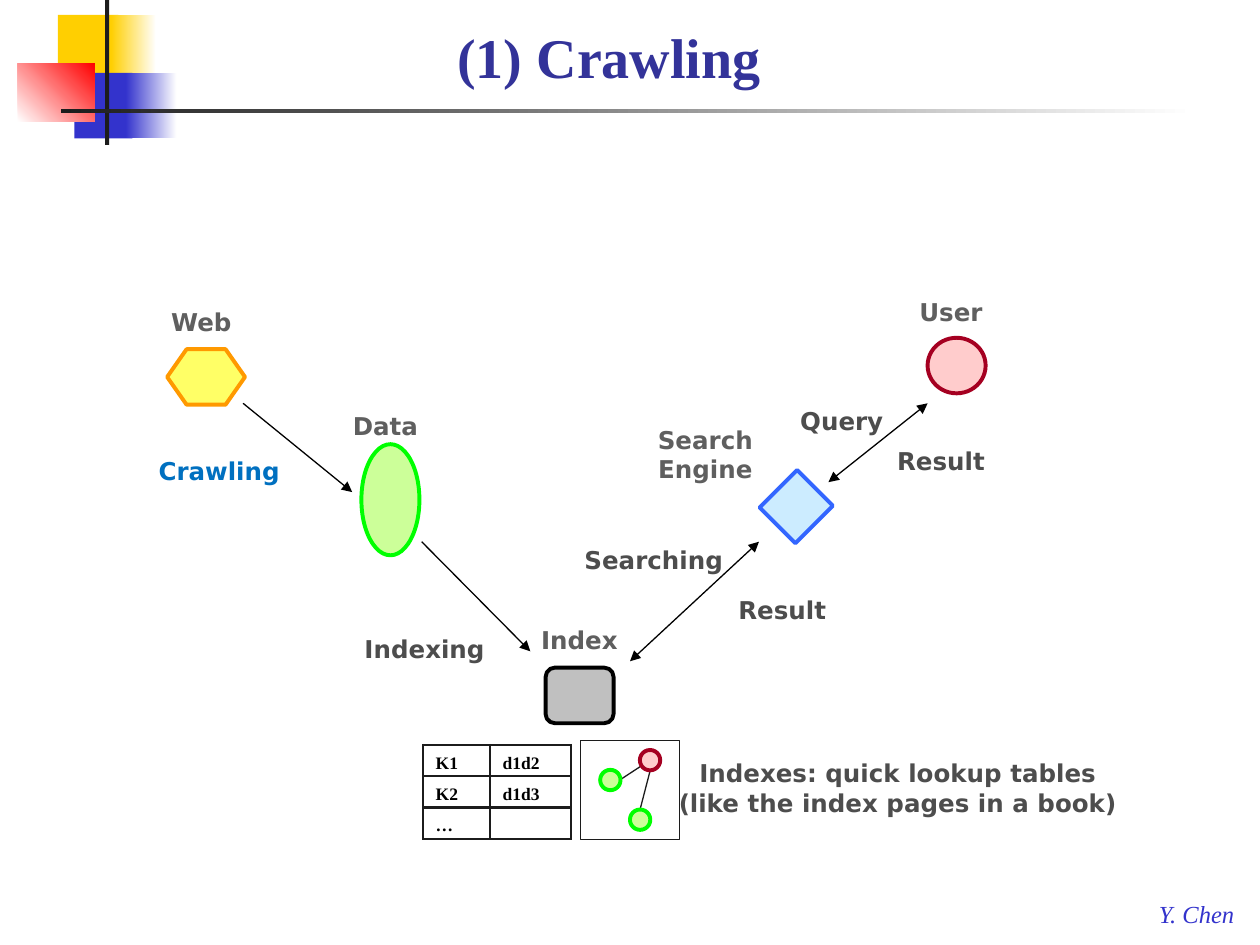
from typing import NamedTuple, Optional

import pptx
import pptx.dml.color
import pptx.enum.dml
import pptx.enum.shapes
import pptx.enum.text
import pptx.oxml.ns
import pptx.util
from lxml import etree

Cm = pptx.util.Cm
Pt = pptx.util.Pt
RGBColor = pptx.dml.color.RGBColor
Kind = pptx.enum.shapes.MSO_SHAPE
Align = pptx.enum.text.PP_ALIGN
Anchor = pptx.enum.text.MSO_ANCHOR
qn = pptx.oxml.ns.qn

WHITE = RGBColor(0xFF, 0xFF, 0xFF)
BLACK = RGBColor(0, 0, 0)
INK = RGBColor(0x1C, 0x1C, 0x1C)
GOLD = RGBColor(0xFF, 0xCF, 0x01)
BLUE = RGBColor(0x33, 0x33, 0xCC)
RED = RGBColor(0xFF, 0, 0)
TITLE_BLUE = RGBColor(0x33, 0x33, 0x99)
ACCENT_BLUE = RGBColor(0x00, 0x70, 0xC0)
NODE_GREY = RGBColor(0x5F, 0x5F, 0x5F)
STEP_GREY = RGBColor(0x4D, 0x4D, 0x4D)
LIGHT_GREEN = RGBColor(0xCC, 0xFF, 0x99)
GREEN = RGBColor(0, 0xFF, 0)
PINK = RGBColor(0xFF, 0xCC, 0xCC)
CRIMSON = RGBColor(0xA5, 0x00, 0x21)
SILVER = RGBColor(0xC0, 0xC0, 0xC0)
PALE_BLUE = RGBColor(0xCC, 0xEC, 0xFF)
SKY = RGBColor(0x33, 0x66, 0xFF)
YELLOW = RGBColor(0xFF, 0xFF, 0x66)
ORANGE = RGBColor(0xFF, 0x99, 0x00)

SERIF = "Times New Roman"
SANS = "DejaVu Sans"


class Ornament(NamedTuple):
    left: float
    top: float
    width: float
    height: float
    start: RGBColor
    end: Optional[RGBColor] = None
    angle: float = 0


class Node(NamedTuple):
    kind: Kind
    left: float
    top: float
    width: float
    height: float
    fill: RGBColor
    line: RGBColor
    rotation: float = 0
    adjustment: Optional[float] = None
    line_width: float = 2.25


class Label(NamedTuple):
    text: str
    left: float
    top: float
    color: RGBColor = STEP_GREY
    width: float = 2.54


class Link(NamedTuple):
    start: tuple[float, float]
    end: tuple[float, float]
    color: RGBColor = BLACK
    heads: tuple[str, ...] = ()


ONE_WAY = ("tailEnd",)
BOTH_WAYS = ("headEnd", "tailEnd")

ORNAMENTS = [
    Ornament(1.17, 0.3, 1.22, 1.32, GOLD),
    Ornament(2.24, 0.3, 0.91, 1.32, GOLD, WHITE),
    Ornament(1.5, 1.47, 1.17, 1.32, BLUE),
    Ornament(2.54, 1.47, 1.02, 1.32, BLUE, WHITE),
    Ornament(0.36, 1.28, 1.55, 1.18, WHITE, RED, 45),
    Ornament(2.12, 0, 0.08, 2.92, INK),
    Ornament(1.23, 2.2, 22.86, 0.08, INK, WHITE),
]
STAGES = [
    Node(Kind.OVAL, 6.75, 9.49, 2.24, 1.17, LIGHT_GREEN, GREEN, 90),
    Node(Kind.ROUNDED_RECTANGLE, 11, 13.46, 1.37, 1.12, SILVER, BLACK),
    Node(Kind.RECTANGLE, 15.54, 9.68, 1.02, 1.07, PALE_BLUE, SKY, 45),
    Node(Kind.OVAL, 18.7, 6.81, 1.17, 1.12, PINK, CRIMSON),
    Node(Kind.HEXAGON, 3.37, 7.04, 1.57, 1.12, YELLOW, ORANGE, adjustment=0.35),
]
FLOWS = [
    Link((4.9, 8.13), (7.1, 9.92), heads=ONE_WAY),
    Link((8.5, 10.92), (10.69, 13.13), heads=ONE_WAY),
    Link((12.7, 13.33), (15.3, 10.92), heads=BOTH_WAYS),
    Link((16.7, 9.72), (18.7, 8.13), heads=BOTH_WAYS),
]
LABELS = [
    Label("Web", 2.79, 5.92, NODE_GREY),
    Label("Data", 6.5, 8.03, NODE_GREY),
    Label("Index", 10.41, 12.34, NODE_GREY),
    Label("Search\nEngine", 12.95, 8.6, NODE_GREY),
    Label("User", 17.9, 5.72, NODE_GREY),
    Label("Crawling", 3.15, 8.92, ACCENT_BLUE),
    Label("Indexing", 7.29, 12.52),
    Label("Searching", 11.58, 10.72, width=3.2),
    Label("Result", 14.5, 11.73),
    Label("Query", 15.7, 7.92),
    Label("Result", 17.7, 8.73),
    Label("Indexes: quick lookup tables\n(like the index pages in a book)", 13.5, 15.32, width=9.2),
]
GRAPH_FRAME = Node(Kind.RECTANGLE, 11.7, 14.93, 2, 2, WHITE, INK, line_width=0.75)
GRAPH_EDGES = [
    Link((13.11, 15.32), (12.5, 15.72), INK),
    Link((12.9, 16.33), (13.11, 15.52), INK),
]
GRAPH_NODES = [
    Node(Kind.OVAL, left, top, 0.41, 0.41, fill, line)
    for left, top, fill, line in [
        (12.1, 15.52, LIGHT_GREEN, GREEN),
        (12.7, 16.32, LIGHT_GREEN, GREEN),
        (12.9, 15.12, PINK, CRIMSON),
    ]
]
LOOKUP_ROWS = [("K1", "d1d2"), ("K2", "d1d3"), ("…", "")]
LOOKUP_WIDTHS = (1.35, 1.63)
LOOKUP_ROW_HEIGHT = 0.63


def write_text(frame, text: str, *, font: str, size: float, color: RGBColor,
               bold: bool = False, italic: bool = False, align=Align.LEFT) -> None:
    for index, line in enumerate(text.split("\n")):
        paragraph = frame.add_paragraph() if index else frame.paragraphs[0]
        paragraph.alignment = align
        if not line:
            etree.SubElement(paragraph._p, qn("a:endParaRPr"), sz=str(int(size * 100)))
            continue
        run = paragraph.add_run()
        run.text = line
        run.font.name, run.font.size = font, Pt(size)
        run.font.bold, run.font.italic = bold, italic
        run.font.color.rgb = color


def draw_ornament(slide, item: Ornament) -> None:
    block = slide.shapes.add_shape(Kind.RECTANGLE, *map(Cm, item[:4]))
    block.shadow.inherit = False
    block.line.fill.background()
    if item.end is None:
        block.fill.solid()
        block.fill.fore_color.rgb = item.start
        return
    block.fill.gradient()
    block.fill.gradient_angle = item.angle
    for stop, color in zip(block.fill.gradient_stops, (item.start, item.end)):
        stop.color.rgb = color


def draw_node(slide, node: Node):
    outline = slide.shapes.add_shape(node.kind, *map(Cm, node[1:5]))
    outline.shadow.inherit = False
    outline.rotation = node.rotation
    if node.adjustment is not None:
        outline.adjustments[0] = node.adjustment
    outline.fill.solid()
    outline.fill.fore_color.rgb = node.fill
    outline.line.color.rgb = node.line
    outline.line.width = Pt(node.line_width)
    return outline


def draw_link(slide, link: Link) -> None:
    connector = slide.shapes.add_connector(
        pptx.enum.shapes.MSO_CONNECTOR.STRAIGHT, *map(Cm, link.start + link.end))
    connector.line.color.rgb = link.color
    connector.line.width = Pt(0.75)
    for head in link.heads:
        etree.SubElement(connector.line._get_or_add_ln(), qn(f"a:{head}"), type="triangle")
    etree.SubElement(connector._element.spPr, qn("a:effectLst"))


def draw_label(slide, label: Label) -> None:
    frame = slide.shapes.add_textbox(
        Cm(label.left), Cm(label.top), Cm(label.width), Cm(1.12)).text_frame
    frame.word_wrap = False
    frame.margin_left = frame.margin_right = 0
    frame.vertical_anchor = Anchor.MIDDLE
    write_text(frame, label.text, font=SANS, size=14, color=label.color, bold=True, align=Align.CENTER)


def border_cell(cell) -> None:
    properties = cell._tc.get_or_add_tcPr()
    for position, side in enumerate(("lnL", "lnR", "lnT", "lnB")):
        line = etree.Element(qn(f"a:{side}"), w=str(Pt(1.5)))
        paint = etree.SubElement(line, qn("a:solidFill"))
        etree.SubElement(paint, qn("a:srgbClr"), val=str(INK))
        properties.insert(position, line)


def draw_lookup_table(slide) -> None:
    table = slide.shapes.add_table(
        len(LOOKUP_ROWS), len(LOOKUP_WIDTHS), Cm(8.53), Cm(15.02),
        Cm(sum(LOOKUP_WIDTHS)), Cm(LOOKUP_ROW_HEIGHT * len(LOOKUP_ROWS))).table
    table.first_row = table.horz_banding = False
    for column, width in zip(table.columns, LOOKUP_WIDTHS):
        column.width = Cm(width)
    for row, entries in zip(table.rows, LOOKUP_ROWS):
        row.height = Cm(LOOKUP_ROW_HEIGHT)
        for cell, entry in zip(row.cells, entries):
            cell.margin_top, cell.margin_bottom = Cm(0.1), 0
            cell.vertical_anchor = Anchor.MIDDLE
            cell.fill.solid()
            cell.fill.fore_color.rgb = WHITE
            border_cell(cell)
            write_text(cell.text_frame, entry, font=SERIF, size=10, color=BLACK, bold=True)


def main() -> None:
    deck = pptx.Presentation()
    deck.slide_width, deck.slide_height = Cm(25.4), Cm(19.05)
    slide = deck.slides.add_slide(deck.slide_layouts[5])

    for ornament in ORNAMENTS:
        draw_ornament(slide, ornament)
    heading = slide.shapes.title
    heading.left, heading.top, heading.width, heading.height = map(Cm, (0.43, 0.2, 23.7, 1.73))
    heading.text_frame.auto_size = pptx.enum.text.MSO_AUTO_SIZE.NONE
    heading.text_frame.vertical_anchor = Anchor.BOTTOM
    write_text(heading.text_frame, "(1) Crawling", font=SERIF, size=32, color=TITLE_BLUE,
               bold=True, align=Align.CENTER)
    author = slide.shapes.add_textbox(Cm(23.11), Cm(18), Cm(2.08), Cm(0.84)).text_frame
    author.word_wrap = False
    write_text(author, "Y. Chen", font=SERIF, size=14, color=BLUE, italic=True)

    for stage in STAGES:
        draw_node(slide, stage)
    graph_frame = draw_node(slide, GRAPH_FRAME)
    tint = graph_frame._element.spPr.find(qn("a:solidFill"))[0]
    etree.SubElement(tint, qn("a:alpha"), val="90000")
    for link in FLOWS + GRAPH_EDGES:
        draw_link(slide, link)
    for graph_node in GRAPH_NODES:
        draw_node(slide, graph_node)
    draw_lookup_table(slide)
    for label in LABELS:
        draw_label(slide, label)
    deck.save("out.pptx")


if __name__ == "__main__":
    main()
